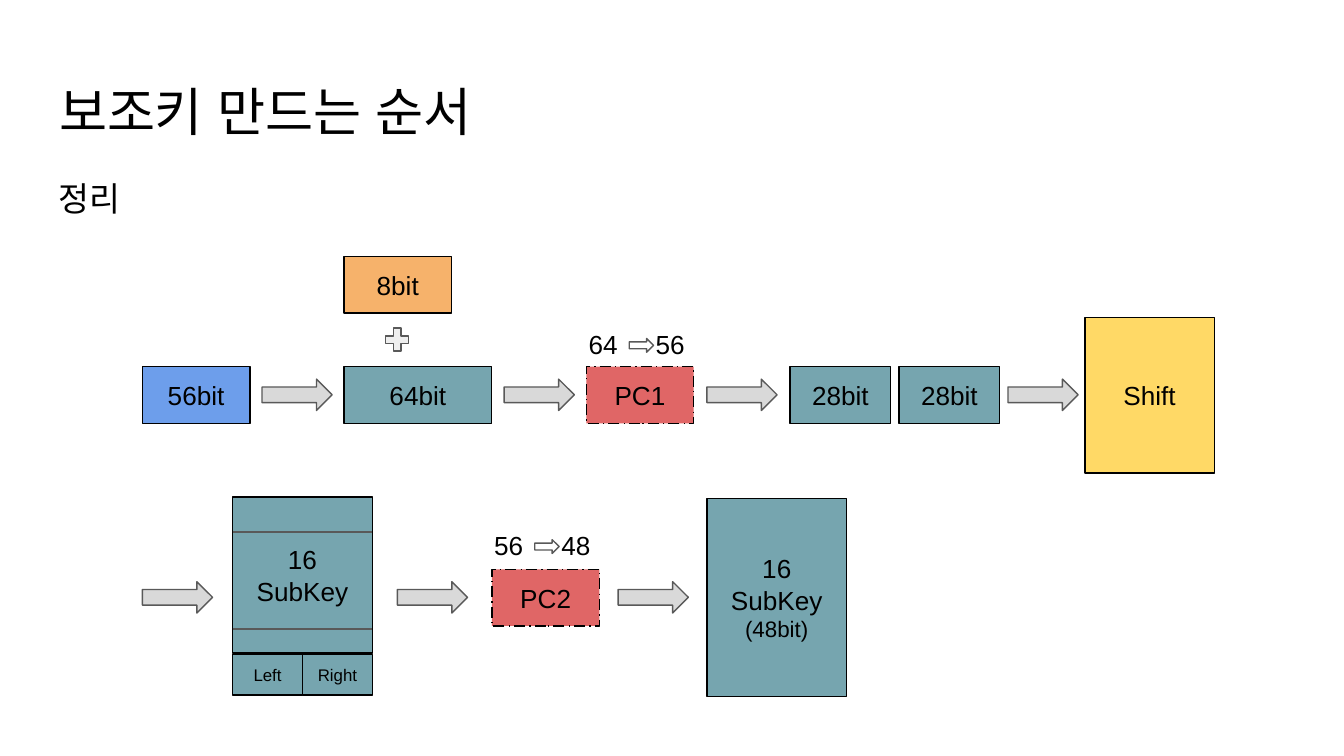
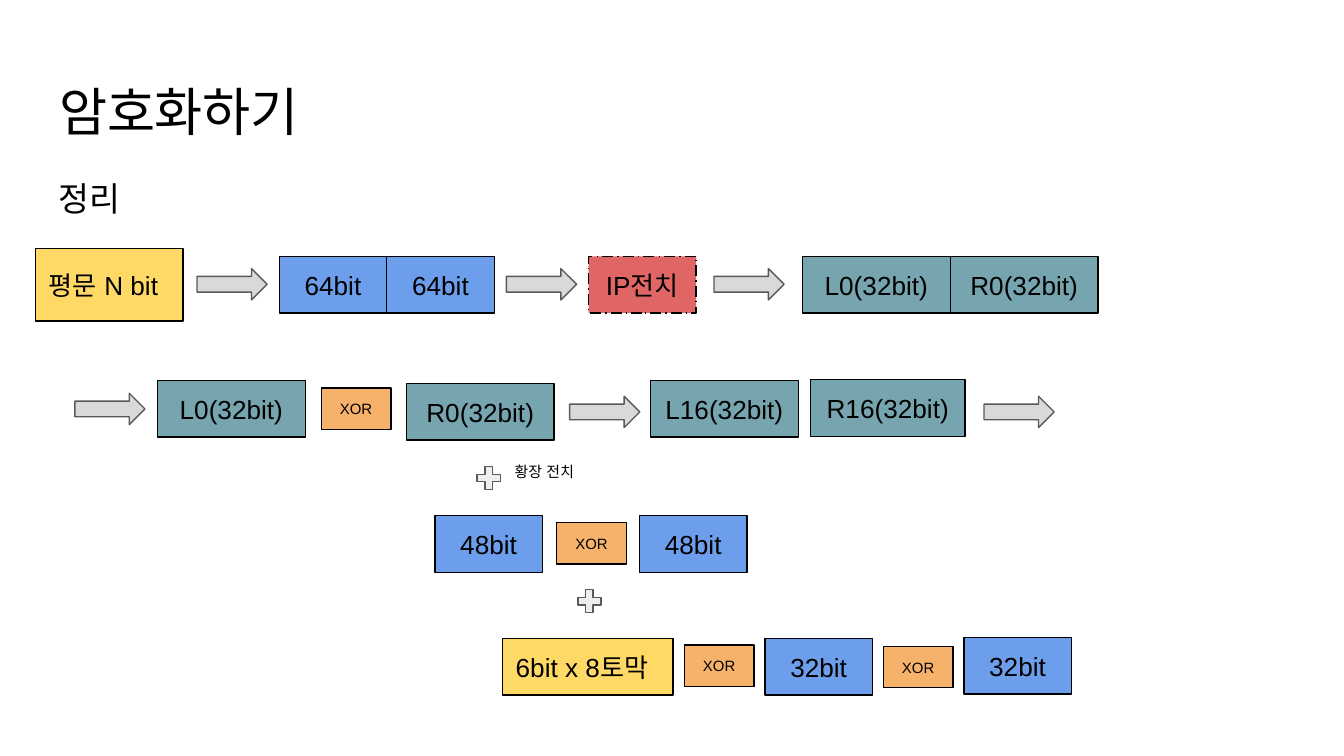
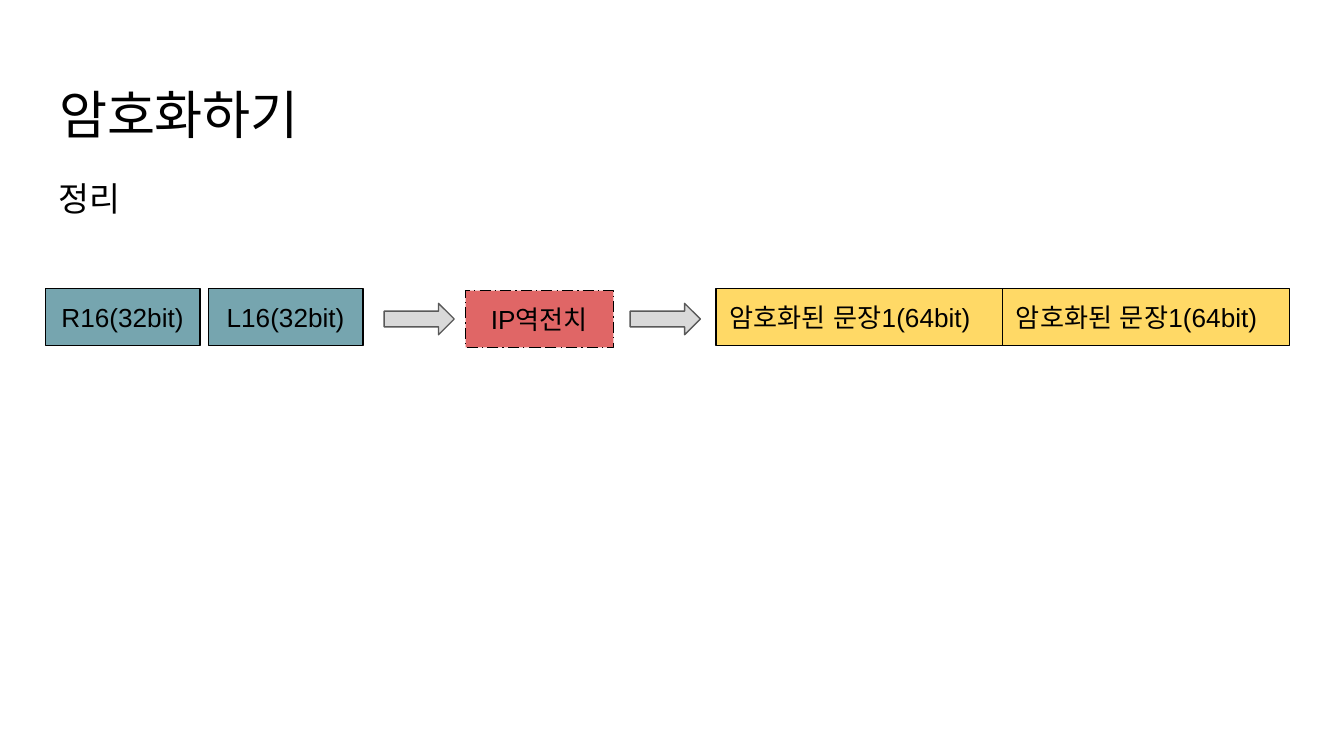
from lxml.etree import SubElement
from pptx import Presentation
from pptx.dml.color import RGBColor as RGB
from pptx.enum.dml import MSO_LINE_DASH_STYLE as DASH
from pptx.enum.shapes import MSO_CONNECTOR as CONN, MSO_SHAPE as SHAPE
from pptx.enum.text import MSO_ANCHOR as ANCHOR, MSO_AUTO_SIZE as AUTO, PP_ALIGN as ALIGN
from pptx.oxml.ns import qn
from pptx.util import Pt

BLACK = RGB(0x00, 0x00, 0x00)
GRAY = RGB(0x59, 0x59, 0x59)
SILVER = RGB(0xD9, 0xD9, 0xD9)
PALE = RGB(0xEE, 0xEE, 0xEE)
BLUE = RGB(0x6D, 0x9E, 0xEB)
TEAL = RGB(0x76, 0xA5, 0xAF)
ORANGE = RGB(0xF6, 0xB2, 0x6B)
RED = RGB(0xE0, 0x66, 0x66)
YELLOW = RGB(0xFF, 0xD9, 0x66)

FONT = "Arial"
INSET = 7.2
BOX_W, WIDE_W, BOX_H = 57.6, 79.2, 30.4
HALF_W, R16_W = 54, 82.8
ARROW_W, ARROW_H = 37.6, 16.8
XOR_W, XOR_H = 37.4, 22.3
PLUS = 16.8
KEY_W, KEY_H = 74.9, 83.5


class Deck:
    def __init__(self):
        self.prs = Presentation()
        self.prs.slide_width, self.prs.slide_height = Pt(720), Pt(405)

    def slide(self, title, subtitle, title_y=35.3):
        self.s = self.prs.slides.add_slide(self.prs.slide_layouts[5])
        sp = self.s.shapes.title
        sp.left, sp.top, sp.width, sp.height = Pt(24.5), Pt(title_y), Pt(671), Pt(45.4)
        self.fill_text(sp.text_frame, title, 28)
        p = self.text(subtitle, 24.5, 85, 671, 38.9, 18).paragraphs[0]
        p.line_spacing, p.space_after = 1.15, Pt(16)

    def fill_text(self, tf, text, size, align=ALIGN.LEFT, anchor=ANCHOR.TOP):
        tf.text = text
        tf.word_wrap, tf.auto_size, tf.vertical_anchor = True, AUTO.NONE, anchor
        tf.margin_left = tf.margin_right = tf.margin_top = tf.margin_bottom = Pt(INSET)
        for p in tf.paragraphs:
            p.alignment = align
            for r in p.runs:
                r.font.size, r.font.name = Pt(size), FONT
                r.font.color.rgb = BLACK
                SubElement(r._r.get_or_add_rPr(), qn("a:ea"), typeface=FONT)
        return tf

    def text(self, text, x, y, w, h, size, anchor=ANCHOR.TOP):
        sp = self.s.shapes.add_textbox(Pt(x), Pt(y), Pt(w), Pt(h))
        return self.fill_text(sp.text_frame, text, size, anchor=anchor)

    def shape(self, kind, x, y, w, h, fill, line=GRAY):
        sp = self.s.shapes.add_shape(kind, Pt(x), Pt(y), Pt(w), Pt(h))
        sp.shadow.inherit = False
        if fill is None:
            sp.fill.background()
        else:
            sp.fill.solid()
            sp.fill.fore_color.rgb = fill
        sp.line.color.rgb, sp.line.width = line, Pt(0.75)
        return sp

    def box(self, text, x, y, fill, w=BOX_W, h=BOX_H, size=14, align=ALIGN.CENTER):
        sp = self.shape(SHAPE.RECTANGLE, x, y, w, h, fill, BLACK)
        self.fill_text(sp.text_frame, text, size, align, ANCHOR.MIDDLE)
        return sp

    def permutation(self, text, x, y, w=BOX_W):
        self.box(text, x, y, RED, w).line.dash_style = DASH.LONG_DASH_DOT

    def xor(self, x, y):
        self.box("XOR", x, y, ORANGE, XOR_W, XOR_H, 8)

    def arrows(self, y, *xs):
        for x in xs:
            self.shape(SHAPE.RIGHT_ARROW, x, y, ARROW_W, ARROW_H, SILVER)

    def plus(self, x, y):
        self.shape(SHAPE.MATH_PLUS, x, y, PLUS, PLUS, PALE)

    def rule(self, x, y, w):
        cn = self.s.shapes.add_connector(CONN.STRAIGHT, Pt(x), Pt(y), Pt(x + w), Pt(y))
        cn.line.color.rgb, cn.line.width = GRAY, Pt(0.75)
        SubElement(cn._element.spPr, qn("a:effectLst"))

    def conversion(self, before, after, x, y):
        tf = self.text("", x, y, WIDE_W, XOR_H, 14, ANCHOR.MIDDLE)
        pPr = tf.paragraphs[0]._p.get_or_add_pPr()
        tabs = SubElement(pPr, qn("a:tabLst"))
        SubElement(tabs, qn("a:tab"), pos=str(Pt(39)), algn="l")
        self.fill_text(tf, f"{before}\t{after}", 14, anchor=ANCHOR.MIDDLE)
        tf.margin_left = Pt(12)
        self.shape(SHAPE.RIGHT_ARROW, x + 33.8, y + 8.3, 13, 7.4, None)


def subkey_slide(d):
    d.slide("보조키 만드는 순서", "정리")
    y = 196.5
    d.box("56bit", 76.3, y, BLUE)
    d.box("64bit", 184.3, y, TEAL, WIDE_W)
    d.box("8bit", 184.3, 137.3, ORANGE)
    d.plus(204.4, 173.5)
    d.permutation("PC1", 314.1, y)
    for x in (423.2, 481.6):
        d.box("28bit", x, y, TEAL, HALF_W)
    d.box("Shift", 581.2, 170, YELLOW, 69.3, KEY_H)
    d.arrows(203.1, 140.4, 270.1, 378.7, 540)

    key_x, key_y = 124.6, 266.3
    d.box("16 SubKey", key_x, key_y, TEAL, KEY_W, KEY_H)
    for rule_y in (285.1, 337):
        d.rule(key_x, rule_y, KEY_W)
    for i, side in enumerate(("Left", "Right")):
        d.box(side, key_x + i * KEY_W / 2, 350.8, TEAL, KEY_W / 2, 21.6, 9)
    d.permutation("PC2", 263.6, 305)
    sp = d.box("16\nSubKey\n(48bit)", 378.7, 267.1, TEAL, KEY_W, 106)
    sp.text_frame.paragraphs[2].runs[0].font.size = Pt(12)
    d.arrows(311.6, 76.3, 212.9, 331.2)
    d.conversion(64, 56, 303.3, 173)
    d.conversion(56, 48, 252.7, 280.8)


def encryption_slide(d):
    d.slide("암호화하기", "정리")
    y = 137.3
    d.box("평문 N bit", 19, 133.1, YELLOW, WIDE_W, 38.9, align=ALIGN.LEFT)
    for i in range(2):
        d.box("64bit", 149.6 + i * BOX_W, y, BLUE)
    d.permutation("IP전치", 315.4, y)
    for i, half in enumerate("LR"):
        d.box(f"{half}0(32bit)", 429.9 + i * WIDE_W, y, TEAL, WIDE_W)
    d.arrows(143.9, 105.6, 271.3, 382.5)

    d.box("L0(32bit)", 84.4, 203.8, TEAL, WIDE_W)
    d.xor(172.1, 207.8)
    d.box("R0(32bit)", 217.7, 205.4, TEAL, WIDE_W)
    d.box("L16(32bit)", 348.5, 203.8, TEAL, WIDE_W)
    d.box("R16(32bit)", 434.2, 203.5, TEAL, R16_W)
    d.arrows(210.7, 40.1)
    d.arrows(212.3, 305.2, 527.2)
    d.plus(253.4, 247.7)
    d.text("황장 전치", 268.6, 242.6, 64.1, 10.8, 8)

    for x in (233, 342.6):
        d.box("48bit", x, 276.3, BLUE)
    d.xor(298.2, 279.9)
    d.plus(307.4, 313.7)

    d.box("6bit x 8토막", 269.2, 342, YELLOW, 91.4, align=ALIGN.LEFT)
    d.xor(366.6, 345.6)
    d.box("32bit", 409.8, 342, BLUE)
    d.xor(473.2, 346.2)
    d.box("32bit", 516.4, 341.5, BLUE)


def ciphertext_slide(d):
    d.slide("암호화하기", "정리", 36.9)
    y = 154.6
    for x, half in ((24.3, "R"), (111.6, "L")):
        d.box(f"{half}16(32bit)", x, y, TEAL, R16_W)
    d.permutation("IP역전치", 249.5, 155.8, WIDE_W)
    sentence_w = 153.6
    for i in range(2):
        d.box("암호화된 문장1(64bit)", 383.6 + i * sentence_w, y, YELLOW,
              sentence_w, align=ALIGN.LEFT)
    d.arrows(162.5, 205.8, 337.6)


def main():
    d = Deck()
    subkey_slide(d)
    encryption_slide(d)
    ciphertext_slide(d)
    d.prs.save("out.pptx")


if __name__ == "__main__":
    main()
